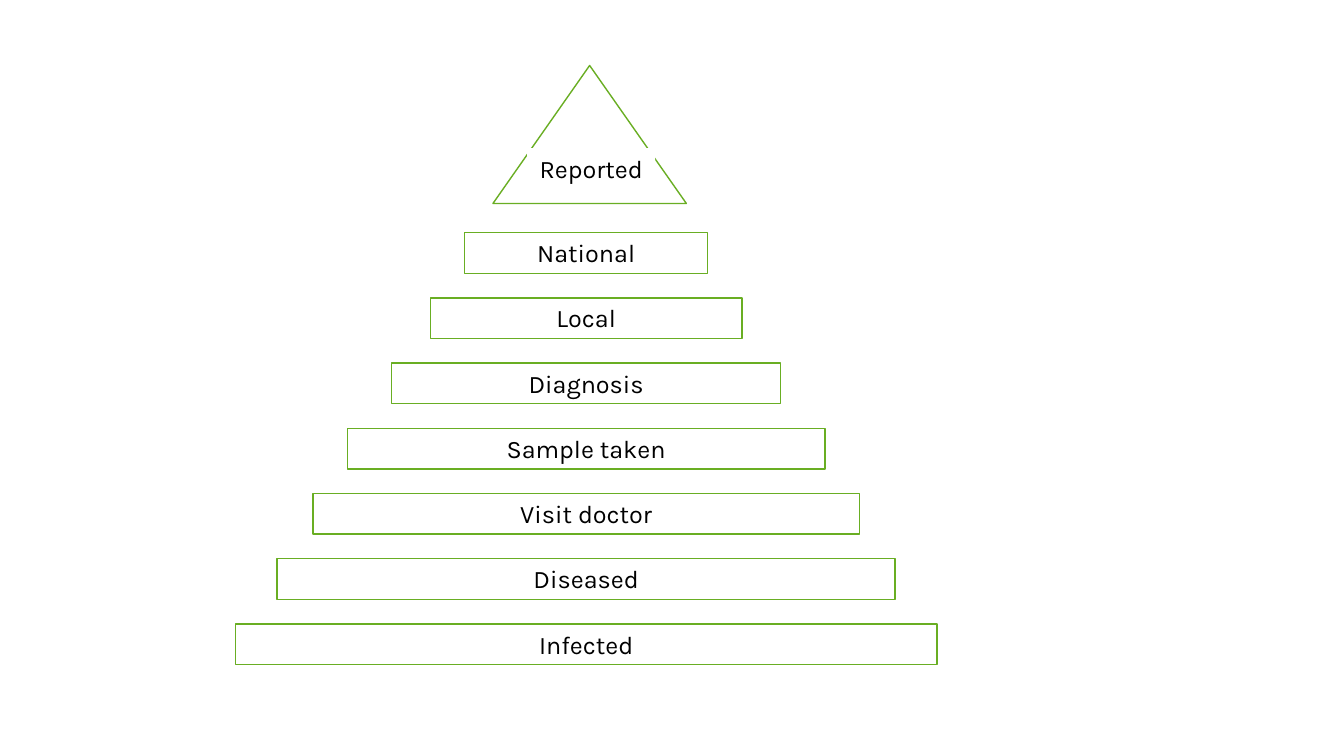
"""Draw the reporting pyramid, from infected people up to reported cases."""
from pptx import Presentation
from pptx.dml.color import RGBColor
from pptx.enum.shapes import MSO_SHAPE
from pptx.enum.text import MSO_AUTO_SIZE, PP_ALIGN
from pptx.util import Pt

GREEN = RGBColor(0x69, 0xAE, 0x23)
WHITE = RGBColor(0xFF, 0xFF, 0xFF)
BLACK = RGBColor(0, 0, 0)
PEAK = MSO_SHAPE.ISOSCELES_TRIANGLE
GROW = MSO_AUTO_SIZE.SHAPE_TO_FIT_TEXT
CENTER = PP_ALIGN.CENTER

FRAME = {"word_wrap": True, "auto_size": GROW}
FONT = {"name": "Karla", "size": Pt(18)}

MID = 418.7
TOP = 166.2
STEP = 46.58
HIGH = 29.08
LEVELS = [
    ("National", 173.5),
    ("Local", 222.5),
    ("Diagnosis", 278),
    ("Sample taken", 341.3),
    ("Visit doctor", 390.2),
    ("Diseased", 441.4),
    ("Infected", 501.1),
]


def apply(item, values):
    """Set each attribute in values on item."""
    for name, value in values.items():
        setattr(item, name, value)


def paint(shape, edge=True):
    """Fill a shape white, with a green outline if edge is true."""
    shape.fill.solid()
    shape.fill.fore_color.rgb = WHITE
    if edge:
        shape.line.color.rgb = GREEN
        shape.line.width = Pt(1)


def add_peak(slide, left, top, width, height):
    """Add the triangle at the top of the pyramid."""
    peak = slide.shapes.add_shape(PEAK, Pt(left), Pt(top), Pt(width), Pt(height))
    peak.shadow.inherit = False
    paint(peak)


def add_label(slide, text, mid, top, width, edge=True):
    """Add a text box centred on mid."""
    box = slide.shapes.add_textbox(Pt(mid - width / 2), Pt(top), Pt(width), Pt(HIGH))
    paint(box, edge)
    frame = box.text_frame
    apply(frame, FRAME)
    para = frame.paragraphs[0]
    para.alignment = CENTER
    run = para.add_run()
    run.text = text
    apply(run.font, FONT)
    run.font.color.rgb = BLACK


def main():
    """Build the slide and save it."""
    deck = Presentation()
    apply(deck, {"slide_width": Pt(960), "slide_height": Pt(540)})
    slide = deck.slides.add_slide(deck.slide_layouts[6])
    add_peak(slide, 352.1, 46.8, 138.2, 98.6)
    add_label(slide, "Reported", 422.3, 105.8, 91.4, edge=False)
    for row, (text, width) in enumerate(LEVELS):
        add_label(slide, text, MID, TOP + row * STEP, width)
    deck.save("out.pptx")


if __name__ == "__main__":
    main()
